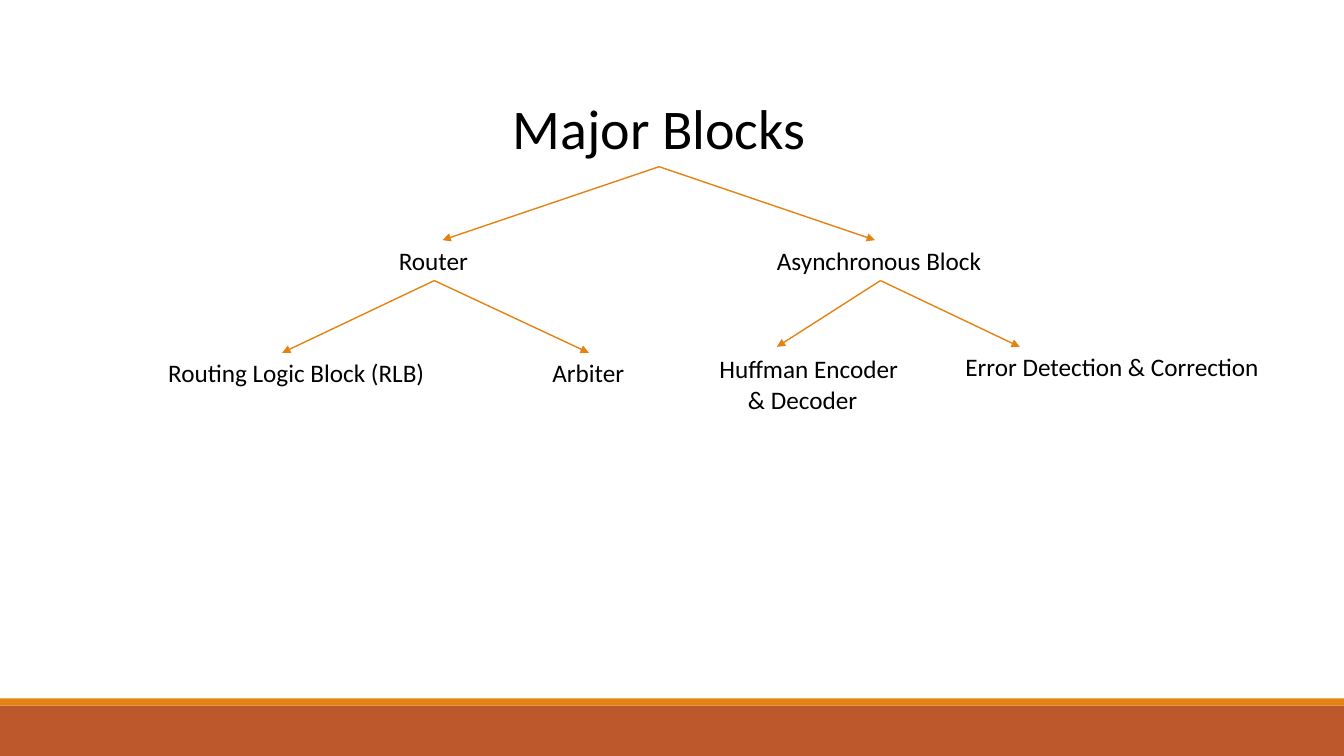
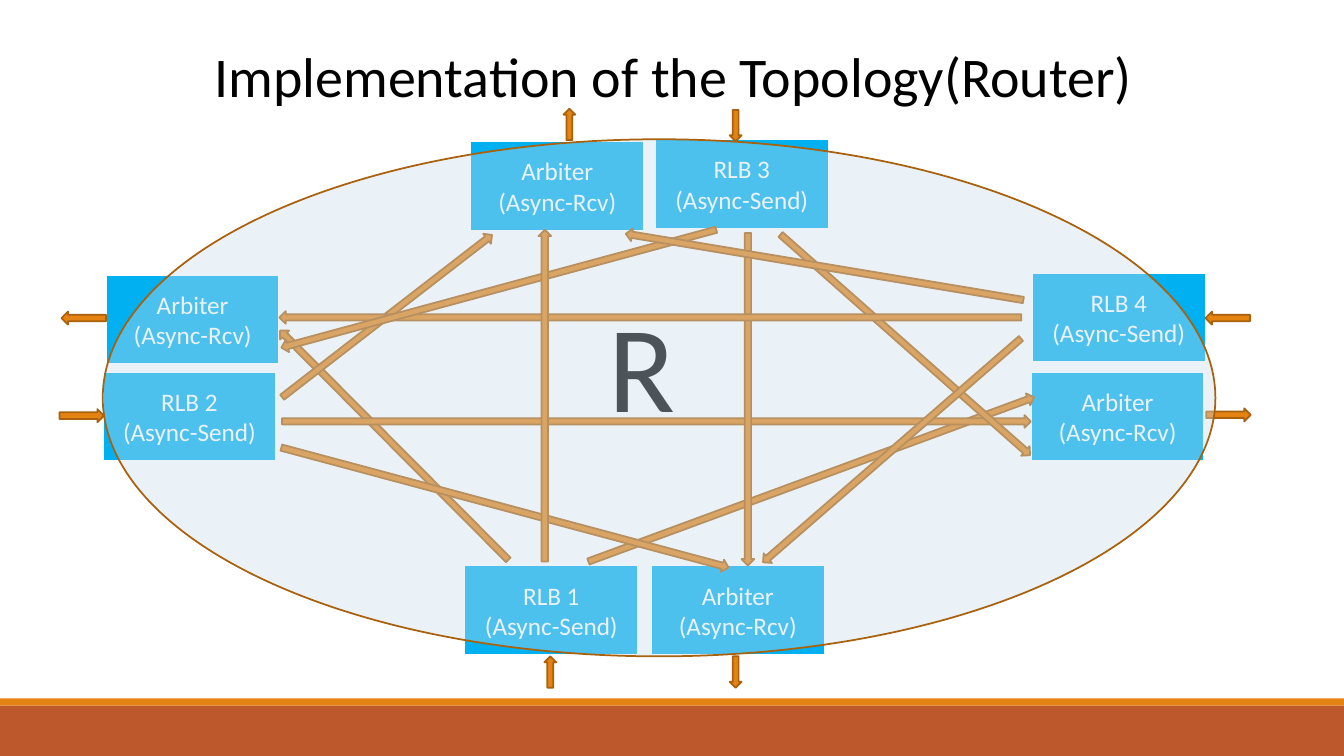
from math import hypot

from lxml.etree import SubElement
from pptx import Presentation
from pptx.dml.color import RGBColor
from pptx.enum.shapes import MSO_CONNECTOR, MSO_SHAPE
from pptx.enum.text import MSO_ANCHOR, MSO_AUTO_SIZE, PP_ALIGN
from pptx.oxml.ns import qn
from pptx.util import Cm, Pt

FONT = "Calibri"
COLORS = {
    "band": "BD582C",
    "accent": "E48312",
    "arrow_edge": "A9610D",
    "block": "00B0F0",
    "lens": "CCDDEA",
    "text": "000000",
    "white": "FFFFFF",
}
WIDTH, HEIGHT = 33.87, 19.05
BAND_TOP, STRIPE_HEIGHT = 17.78, 0.18
TOP, BOTTOM = 0, 2


def color(name):
    return RGBColor.from_string(COLORS[name])


def write(frame, text, size=18, ink="text", align=PP_ALIGN.LEFT, last_indent=0):
    """Fill a text frame, one paragraph per line; last_indent shifts the last one."""
    for index, line in enumerate(text.split("\n")):
        para = frame.paragraphs[0] if index == 0 else frame.add_paragraph()
        para.alignment = align
        span = para.add_run()
        span.text = line
        span.font.name = FONT
        span.font.size = Pt(size)
        span.font.color.rgb = color(ink)
    if last_indent:
        para._p.get_or_add_pPr().set("marL", str(Cm(last_indent)))


class Sketch:
    """The deck, its style and the slide being drawn; all lengths are in cm."""

    def __init__(self):
        self.deck = Presentation()
        self.deck.slide_width, self.deck.slide_height = Cm(WIDTH), Cm(HEIGHT)
        self.shapes = None

    def new_slide(self, title, left, top, width):
        page = self.deck.slides.add_slide(self.deck.slide_layouts[6])
        self.shapes = page.shapes
        self.shape(MSO_SHAPE.RECTANGLE, 0, BAND_TOP, WIDTH, HEIGHT - BAND_TOP, "band")
        self.shape(MSO_SHAPE.RECTANGLE, 0, BAND_TOP - STRIPE_HEIGHT, WIDTH,
                   STRIPE_HEIGHT, "accent")
        return self.label(title, left, top, width, 1.96, size=40, align=PP_ALIGN.CENTER)

    def paint(self, shape, fill, edge=None):
        shape.shadow.inherit = False
        shape.fill.solid()
        shape.fill.fore_color.rgb = color(fill)
        if edge:
            shape.line.color.rgb = color(edge)
            shape.line.width = Pt(1.25)
        else:
            shape.line.fill.background()

    def shape(self, kind, left, top, width, height, fill, edge=None):
        shape = self.shapes.add_shape(kind, Cm(left), Cm(top), Cm(width), Cm(height))
        self.paint(shape, fill, edge)
        return shape

    def label(self, text, left, top, width, height=1.02, wrap=False, **style):
        box = self.shapes.add_textbox(Cm(left), Cm(top), Cm(width), Cm(height))
        box.text_frame.word_wrap = wrap
        box.text_frame.auto_size = MSO_AUTO_SIZE.SHAPE_TO_FIT_TEXT
        write(box.text_frame, text, **style)
        return box

    def block(self, text, left, top):
        box = self.shape(MSO_SHAPE.RECTANGLE, left, top, 4.37, 2.25, "block", "white")
        box.text_frame.vertical_anchor = MSO_ANCHOR.MIDDLE
        write(box.text_frame, text, ink="white", align=PP_ALIGN.CENTER)

    def branch(self, parent, x, y, child=None):
        """Thin arrow from under the parent to a point, or to the child's top."""
        line = self.shapes.add_connector(MSO_CONNECTOR.STRAIGHT, 0, 0, Cm(x), Cm(y))
        line.begin_connect(parent, BOTTOM)
        if child is not None:
            line.end_connect(child, TOP)
        line.line.color.rgb = color("accent")
        line.line.width = Pt(1)
        SubElement(line.line._get_or_add_ln(), qn("a:tailEnd"), type="triangle")
        SubElement(line._element.spPr, qn("a:effectLst"))

    def route(self, start, end, head=0.32):
        """Block arrow between two points, at any angle."""
        (x1, y1), (x2, y2) = start, end
        length = hypot(x2 - x1, y2 - y1)
        along_x, along_y = (x2 - x1) / length, (y2 - y1) / length
        neck, half, shaft = length - head / 2, head / 2, head / 4
        outline = [(0, -shaft), (neck, -shaft), (neck, -half), (length, 0),
                   (neck, half), (neck, shaft), (0, shaft)]
        points = [(1000 * (x1 + along * along_x - across * along_y),
                   1000 * (y1 + along * along_y + across * along_x))
                  for along, across in outline]
        builder = self.shapes.build_freeform(*points[0], scale=Cm(0.001))
        builder.add_line_segments(points[1:], close=True)
        self.paint(builder.convert_to_shape(), "accent", "arrow_edge")

    def lens(self, left, top, width, height, opacity):
        oval = self.shape(MSO_SHAPE.OVAL, left, top, width, height, "lens", "arrow_edge")
        tint = oval._element.spPr.find(qn("a:solidFill"))[0]
        SubElement(tint, qn("a:alpha"), val=str(opacity * 1000))


def draw_major_blocks(sketch):
    title = sketch.new_slide("Major Blocks", 12.62, 2.24, 7.98)
    router = sketch.label("Router", 9.8, 6.05, 2.29)
    asynchronous = sketch.label("Asynchronous Block", 19.33, 6.05, 5.72)
    sketch.label("Routing Logic Block (RLB)", 3.99, 8.89, 7.06)
    arbiter = sketch.label("Arbiter", 13.67, 8.89, 2.34)
    sketch.label("Huffman Encoder\n& Decoder", 17.88, 8.79, 5.08, 1.8, last_indent=0.72)
    sketch.label("Error Detection & Correction", 24.08, 8.74, 8)
    for parent, x, y, child in [
        (title, 11.15, 6.05, None),
        (title, 22.05, 6.05, None),
        (router, 7.11, 8.89, None),
        (router, 14.81, 8.89, arbiter),
        (asynchronous, 19.58, 8.74, None),
        (asynchronous, 25.7, 8.74, None),
    ]:
        sketch.branch(parent, x, y, child)


def draw_router(sketch):
    sketch.new_slide("Implementation of the Topology(Router)", 5.03, 0.91, 23.88)

    arbiters = [(16.41, 14.25), (2.67, 6.93), (25.98, 9.37), (11.86, 3.56)]
    senders = [(11.71, 14.25), (2.59, 9.37), (16.51, 3.51), (26.01, 6.88)]
    for place in arbiters:
        sketch.block("Arbiter\n(Async-Rcv)", *place)
    for number, place in enumerate(senders, 1):
        sketch.block(f"RLB {number}\n(Async-Send)", *place)

    for start, end in [
        ((12.81, 14.11), (7.06, 8.33)),
        ((14.83, 14.15), (26.06, 10.01)),
        ((7.11, 10.01), (12.4, 5.92)),
        ((7.09, 11.28), (18.36, 14.3)),
        ((7.11, 10.62), (25.98, 10.62)),
        ((18.85, 5.87), (18.85, 14.25)),
        ((19.67, 5.91), (25.96, 11.47)),
        ((25.74, 8), (7.04, 8)),
        ((18.05, 5.79), (7.09, 8.76)),
        ((13.73, 14.15), (13.73, 5.79)),
        ((25.73, 8.53), (19.23, 14.17)),
        ((25.79, 7.56), (15.77, 5.89)),
    ]:
        sketch.route(start, end)

    upright, flat = (0.3, 0.79), (1.12, 0.33)
    for kind, size, places in [
        (MSO_SHAPE.DOWN_ARROW, upright, [(18.39, 16.54), (18.39, 2.77)]),
        (MSO_SHAPE.UP_ARROW, upright, [(13.72, 16.54), (14.2, 2.74)]),
        (MSO_SHAPE.LEFT_ARROW, flat, [(1.55, 7.85), (30.38, 7.85)]),
        (MSO_SHAPE.RIGHT_ARROW, flat, [(1.5, 10.31), (30.4, 10.29)]),
    ]:
        for place in places:
            sketch.shape(kind, *place, *size, "accent", "arrow_edge")

    sketch.label("R", 15.09, 7.16, 4.22, 4.01, wrap=True, size=88)
    sketch.lens(2.59, 3.51, 28.04, 13.03, opacity=38)


def main():
    sketch = Sketch()
    draw_major_blocks(sketch)
    draw_router(sketch)
    sketch.deck.save("out.pptx")


if __name__ == "__main__":
    main()
